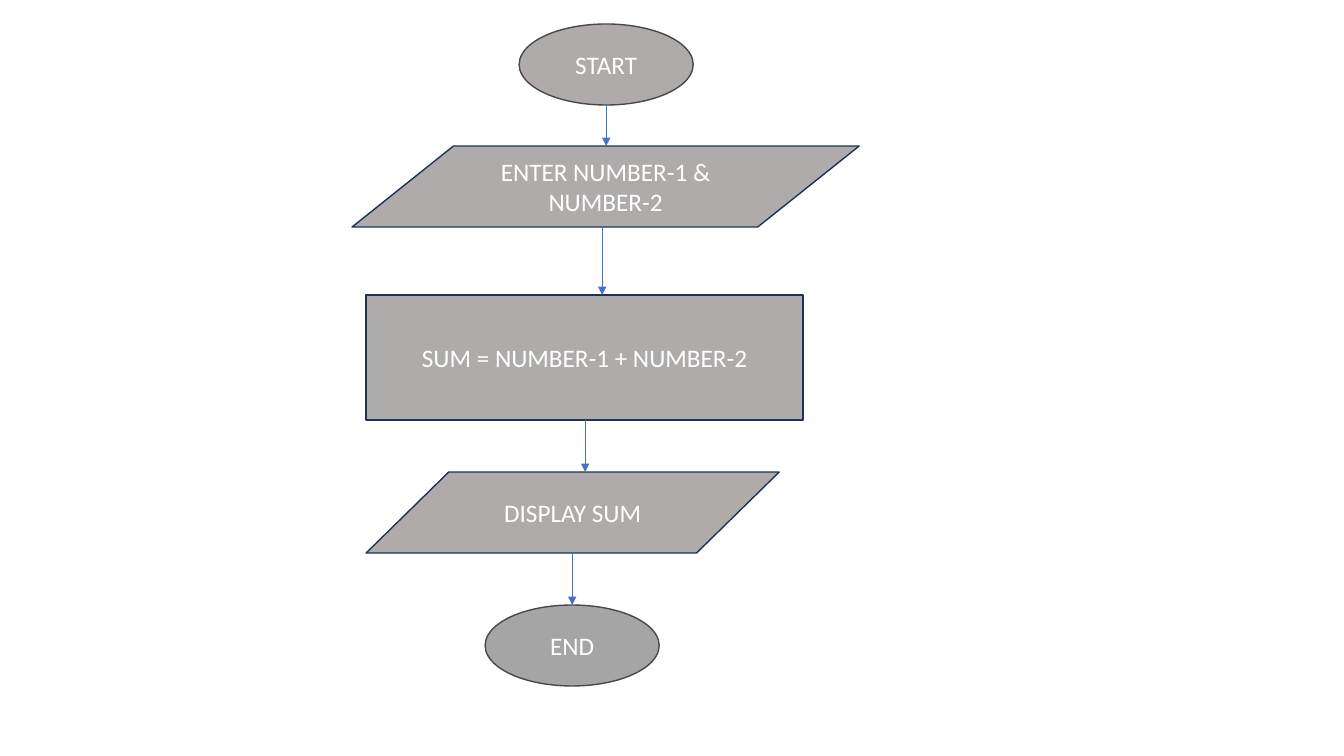
from dataclasses import dataclass
from itertools import pairwise

from lxml.etree import SubElement
from pptx import Presentation
from pptx.dml.color import RGBColor
from pptx.enum.shapes import MSO_CONNECTOR, MSO_SHAPE as Kind
from pptx.enum.text import MSO_ANCHOR, PP_ALIGN
from pptx.oxml.ns import qn
from pptx.util import Emu, Inches, Pt


@dataclass(frozen=True)
class Theme:
    font: str = "Calibri"
    size: int = 18
    text: str = "FFFFFF"
    step: str = "AFABAB"
    end: str = "A5A5A5"
    terminal_edge: str = "484848"
    step_edge: str = "1E3256"
    arrow: str = "4472C4"
    edge_width: float = 1
    arrow_width: float = 0.5


THEME = Theme()
STEPS = [
    ("START", Kind.OVAL, (519, 24, 174, 81), THEME.step, THEME.terminal_edge),
    ("ENTER NUMBER-1 & NUMBER-2", Kind.FLOWCHART_DATA, (352, 146, 507, 81), THEME.step, THEME.step_edge),
    ("SUM = NUMBER-1 + NUMBER-2", Kind.RECTANGLE, (366, 295, 437, 125), THEME.step, THEME.step_edge),
    ("DISPLAY SUM", Kind.FLOWCHART_DATA, (366, 472, 413, 81), THEME.step, THEME.step_edge),
    ("END", Kind.OVAL, (485, 605, 174, 81), THEME.end, THEME.terminal_edge),
]
ARROW_XS = [606, 602, 585, 572]
PX_PER_INCH = 100.8


def px(length):
    return Emu(round(length * Inches(1) / PX_PER_INCH))


def rgb(color):
    return RGBColor.from_string(color)


def add_step(slide, label, kind, box, fill, edge):
    step = slide.shapes.add_shape(kind, *map(px, box))
    step.shadow.inherit = False
    step.fill.solid()
    step.fill.fore_color.rgb = rgb(fill)
    step.line.color.rgb = rgb(edge)
    step.line.width = Pt(THEME.edge_width)
    frame = step.text_frame
    frame.word_wrap = True
    frame.vertical_anchor = MSO_ANCHOR.MIDDLE
    wording = frame.paragraphs[0]
    wording.text = label
    wording.alignment = PP_ALIGN.CENTER
    wording.font.name = THEME.font
    wording.font.size = Pt(THEME.size)
    wording.font.color.rgb = rgb(THEME.text)


def add_arrow(slide, x, top, bottom):
    arrow = slide.shapes.add_connector(MSO_CONNECTOR.STRAIGHT, px(x), px(top), px(x), px(bottom))
    arrow.line.color.rgb = rgb(THEME.arrow)
    arrow.line.width = Pt(THEME.arrow_width)
    SubElement(arrow.line._get_or_add_ln(), qn("a:tailEnd"), type="triangle")
    SubElement(arrow._element.spPr, qn("a:effectLst"))


def main():
    deck = Presentation()
    deck.slide_width, deck.slide_height = Inches(13.33), Inches(7.5)
    slide = deck.slides.add_slide(deck.slide_layouts[6])
    for step in STEPS:
        add_step(slide, *step)
    boxes = [box for _, _, box, _, _ in STEPS]
    for x, (above, below) in zip(ARROW_XS, pairwise(boxes)):
        add_arrow(slide, x, above[1] + above[3], below[1])
    deck.save("out.pptx")


if __name__ == "__main__":
    main()
